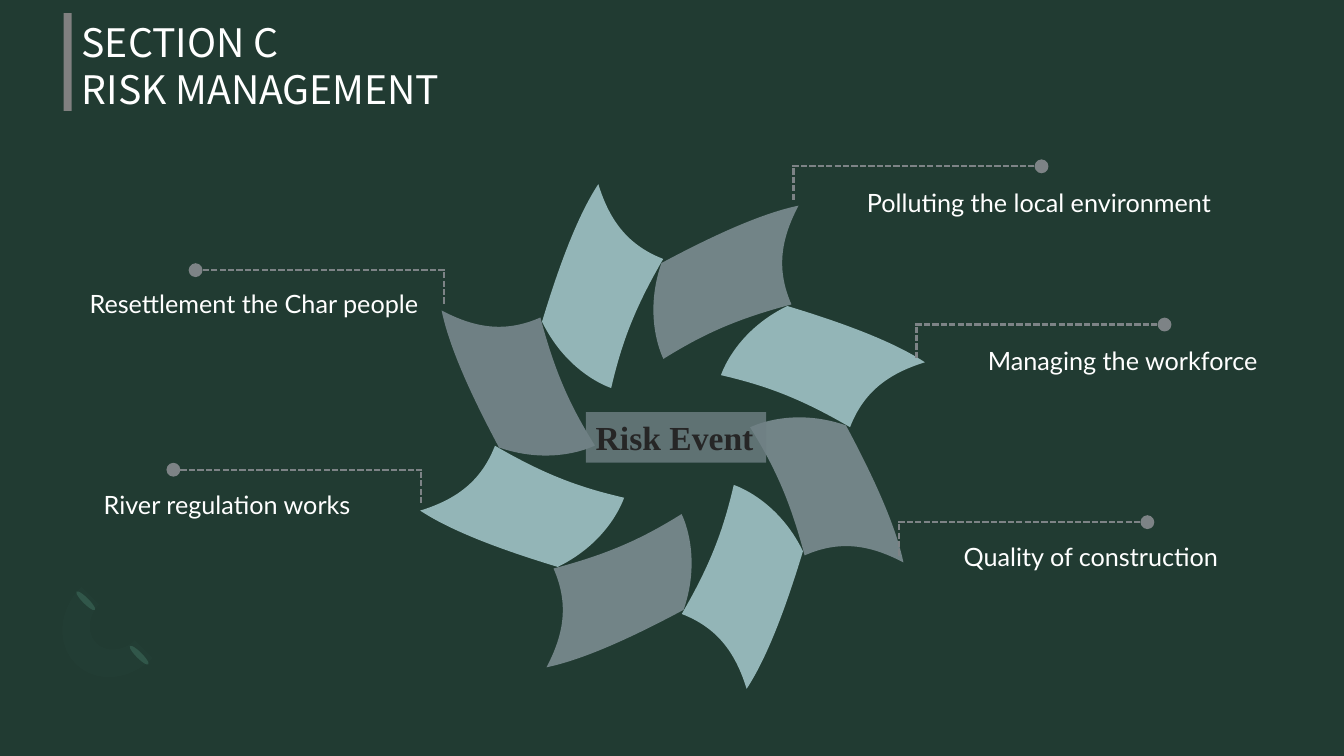
from dataclasses import dataclass
from math import cos, radians, sin

from lxml.etree import SubElement
from pptx import Presentation
from pptx.dml.color import RGBColor
from pptx.enum.shapes import MSO_CONNECTOR, MSO_SHAPE
from pptx.enum.text import MSO_ANCHOR, MSO_AUTO_SIZE, PP_ALIGN
from pptx.oxml.ns import qn
from pptx.util import Inches, Pt


@dataclass(frozen=True)
class Theme:
    """Colours, fonts and type sizes of the slide."""
    background: str = "213B32"
    accent: str = "808080"
    white: str = "FFFFFF"
    dark: str = "262626"
    petal_gray: str = "728487"
    petal_light: str = "93B5B7"
    hub: str = "6F8084"
    leader: str = "7D8386"
    leaf: str = "305649"
    stem: str = "79B4A0"
    title_font: str = "Noto Sans CJK SC"
    label_font: str = "Lato"
    hub_font: str = "Times New Roman"
    title_size: float = 28
    title_spacing: float = 33.6
    label_size: float = 18
    hub_size: float = 24
    leader_width: float = 1.5


@dataclass(frozen=True)
class Box:
    """A region of the slide in inches."""
    left: float
    top: float
    width: float
    height: float

    def lengths(self):
        """Return the four sides as slide lengths."""
        return [Inches(side) for side in (self.left, self.top, self.width, self.height)]

    def center(self):
        """Return the middle point of the box."""
        return self.left + self.width / 2, self.top + self.height / 2


THEME = Theme()
PETAL_START = (-0.09, -0.77)
PETAL_SEGMENTS = [
    [(-0.09, -0.77), (-0.3, -1.17), (-0.11, -1.72)],
    [(0.45, -2.02), (0.91, -2.22), (1.25, -2.29)],
    [(1.07, -1.95), (1.03, -1.65), (1.18, -1.31)],
    [(0.61, -1.16), (0.28, -1.0), (-0.09, -0.77)],
]
STEM_START = (0, 0.29)
STEM_SEGMENTS = [
    [(-0.28, 0.29), (-0.5, 0.03), (-0.5, -0.29)],
    [(-0.25, -0.29)],
    [(-0.25, -0.13), (-0.13, 0), (0, 0)],
    [(0.13, 0), (0.25, -0.13), (0.25, -0.29)],
    [(0.5, -0.29)],
    [(0.5, 0.03), (0.28, 0.29), (0, 0.29)],
]
PETAL_COLORS = {
    0: THEME.petal_gray, 4: THEME.petal_gray, 1: THEME.petal_light, 5: THEME.petal_light,
    6: THEME.hub, 2: THEME.petal_gray, 7: THEME.petal_light, 3: THEME.petal_light,
}
LEADER_LENGTH = 2.47
LEADER_DROP = 0.33
CALLOUTS = [
    ("Polluting the local environment", 7.86, 1.65, 1, Box(8.5, 1.81, 3.88, 0.4)),
    ("Managing the workforce", 9.08, 3.22, 1, Box(9.7, 3.38, 3.3, 0.4)),
    ("Quality of construction", 8.91, 5.18, 1, Box(9.46, 5.32, 3.33, 0.4)),
    ("Resettlement the Char people", 4.41, 2.68, -1, Box(0.79, 2.81, 3.7, 0.4)),
    ("River regulation works", 4.19, 4.66, -1, Box(0.93, 4.81, 3.09, 0.4)),
]


def write_text(shape, text, *, font, size, color, bold=False, spacing=None, wrap=True):
    """Write left-aligned text, one paragraph per line, in the given format."""
    frame = shape.text_frame
    frame.auto_size = MSO_AUTO_SIZE.NONE
    frame.word_wrap = wrap
    frame.vertical_anchor = MSO_ANCHOR.TOP
    frame.text = text
    for paragraph in frame.paragraphs:
        paragraph.alignment = PP_ALIGN.LEFT
        paragraph.space_before = Pt(0)
        if spacing:
            paragraph.line_spacing = Pt(spacing)
        paragraph.font.name = font
        paragraph.font.size = Pt(size)
        paragraph.font.bold = bold
        paragraph.font.color.rgb = RGBColor.from_string(color)


def paint(shape, color, opacity=100):
    """Give a shape a flat fill without line or shadow."""
    shape.shadow.inherit = False
    shape.fill.solid()
    shape.fill.fore_color.rgb = RGBColor.from_string(color)
    shape.line.fill.background()
    if opacity < 100:
        fill_color = shape._element.spPr.find(qn("a:solidFill"))[0]
        SubElement(fill_color, qn("a:alpha"), val=str(opacity * 1000))


def add_shape(slide, kind, box, color, rotation=0, opacity=100):
    """Add a painted preset shape filling the box."""
    shape = slide.shapes.add_shape(kind, *box.lengths())
    shape.rotation = rotation
    paint(shape, color, opacity)
    return shape


def add_curved_shape(slide, center, start, segments, color, turn=0, opacity=100):
    """Add a closed outline of curves and lines, turned about the centre."""
    angle = radians(turn)

    def place(point):
        x, y = point
        return (Inches(center[0] + x * cos(angle) - y * sin(angle)),
                Inches(center[1] + x * sin(angle) + y * cos(angle)))

    builder = slide.shapes.build_freeform(*place(start))
    builder.add_line_segments([place(point) for segment in segments for point in segment])
    shape = builder.convert_to_shape()
    outline = next(shape._element.iter(qn("a:path")))
    lines = iter(outline.findall(qn("a:lnTo")))
    for segment in segments:
        first = next(lines)
        if len(segment) == 3:
            first.tag = qn("a:cubicBezTo")
            for line in (next(lines), next(lines)):
                first.append(line[0])
                outline.remove(line)
    paint(shape, color, opacity)


def add_heading(slide, box):
    """Set the title beside its accent bar."""
    add_shape(slide, MSO_SHAPE.RECTANGLE, Box(box.left - 0.08, box.top, 0.08, 0.97), THEME.accent)
    title = slide.shapes.title
    title.left, title.top, title.width, title.height = box.lengths()
    write_text(title, "SECTION C\nRISK MANAGEMENT", font=THEME.title_font, size=THEME.title_size,
               color=THEME.white, spacing=THEME.title_spacing)


def add_sprig(slide, box):
    """Place two leaves and a faint curved stem in the corner box."""
    for left, top in ((0.9, 0.54), (0.37, 0)):
        leaf_box = Box(box.left + left, box.top + top, 0.06, 0.26)
        add_shape(slide, MSO_SHAPE.OVAL, leaf_box, THEME.leaf, rotation=135)
    add_curved_shape(slide, box.center(), STEM_START, STEM_SEGMENTS, THEME.stem, turn=45, opacity=2)


def add_pinwheel(slide, box):
    """Turn one petal around the centre of the box and label the hub."""
    center_x, center_y = box.center()
    for position, color in PETAL_COLORS.items():
        add_curved_shape(slide, (center_x, center_y), PETAL_START, PETAL_SEGMENTS, color,
                         turn=position * 360 / len(PETAL_COLORS))
    hub_box = Box(center_x - 0.86, center_y - 0.24, 1.79, 0.5)
    hub = add_shape(slide, MSO_SHAPE.RECTANGLE, hub_box, THEME.hub, opacity=80)
    write_text(hub, "Risk Event", font=THEME.hub_font, size=THEME.hub_size, color=THEME.dark,
               bold=True, wrap=False)


def add_leader(slide, start, end, dot=False):
    """Draw a dashed line, optionally ending in a dot."""
    lengths = [Inches(value) for value in (*start, *end)]
    connector = slide.shapes.add_connector(MSO_CONNECTOR.STRAIGHT, *lengths)
    connector.line.width = Pt(THEME.leader_width)
    connector.line.color.rgb = RGBColor.from_string(THEME.leader)
    properties = connector._element.spPr
    line = properties.find(qn("a:ln"))
    SubElement(line, qn("a:prstDash"), val="sysDash")
    if dot:
        SubElement(line, qn("a:tailEnd"), type="oval", w="lg", len="lg")
    SubElement(properties, qn("a:effectLst"))


def add_callout(slide, text, x, y, direction, box):
    """Draw a leader from the corner point and set its label in the box."""
    add_leader(slide, (x, y), (x + direction * LEADER_LENGTH, y), dot=True)
    drop_x, drop_y = x + direction * 0.01, y + 0.02
    add_leader(slide, (drop_x, drop_y), (drop_x, drop_y + LEADER_DROP))
    label = slide.shapes.add_textbox(*box.lengths())
    write_text(label, text, font=THEME.label_font, size=THEME.label_size, color=THEME.white)


def main():
    """Build the risk management slide."""
    presentation = Presentation()
    presentation.slide_width, presentation.slide_height = Inches(13.33), Inches(7.5)
    slide = presentation.slides.add_slide(presentation.slide_layouts[5])
    slide.background.fill.solid()
    slide.background.fill.fore_color.rgb = RGBColor.from_string(THEME.background)
    add_sprig(slide, Box(0.45, 5.83, 1.01, 1.1))
    add_heading(slide, Box(0.71, 0.13, 4.16, 1.04))
    add_pinwheel(slide, Box(4.06, 1.72, 5.22, 5.22))
    for callout in CALLOUTS:
        add_callout(slide, *callout)
    presentation.save("out.pptx")


if __name__ == "__main__":
    main()
